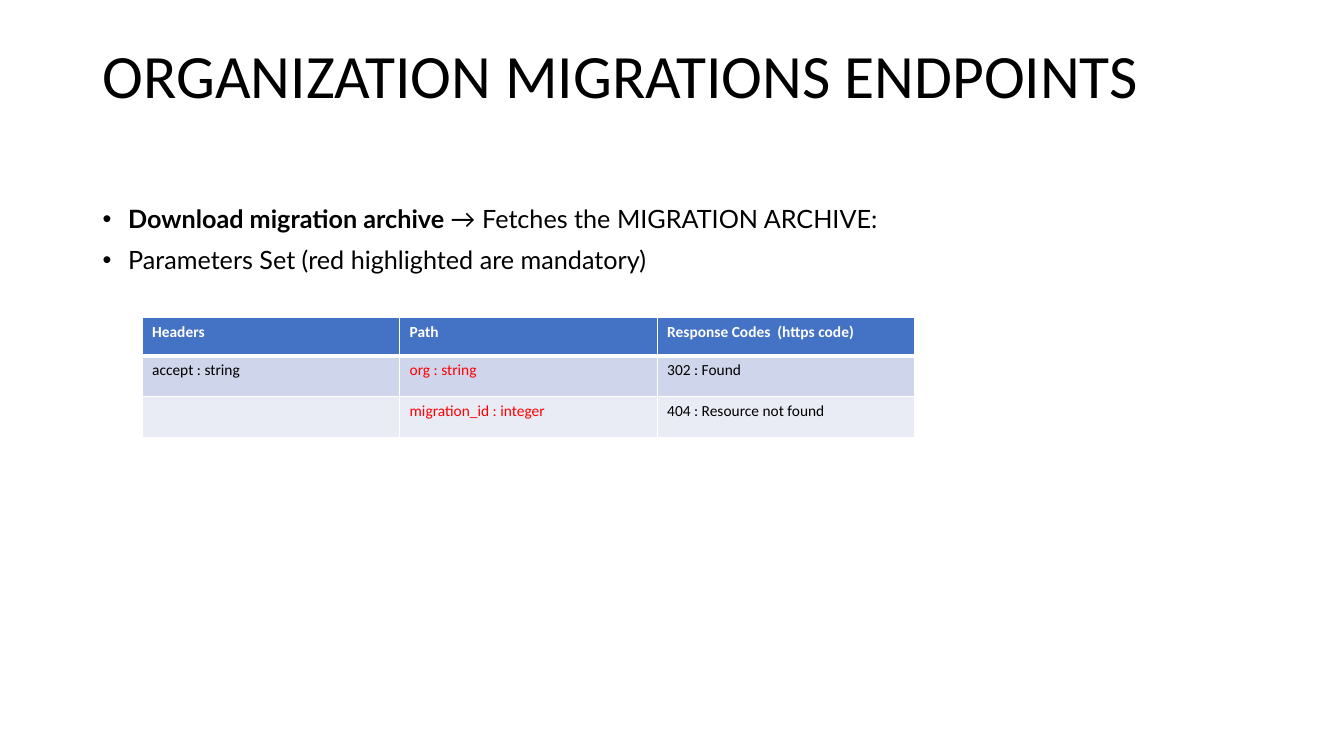
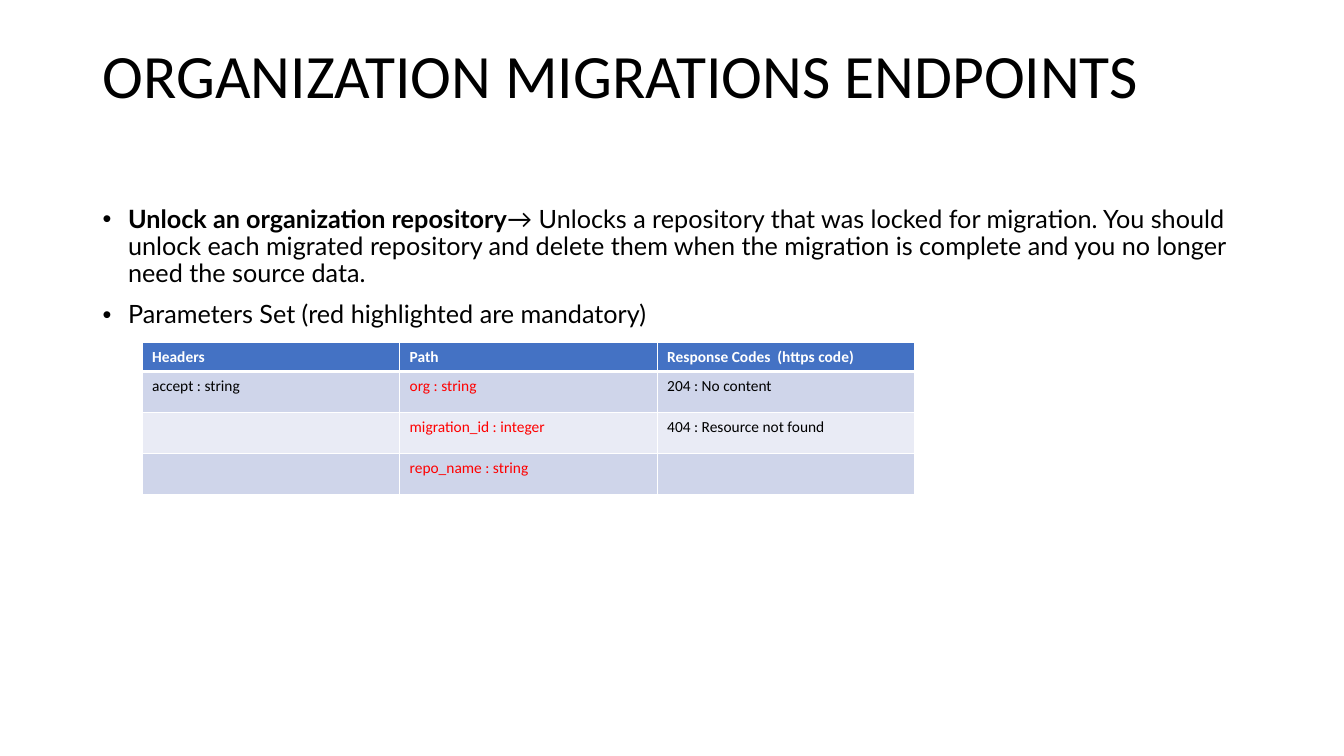
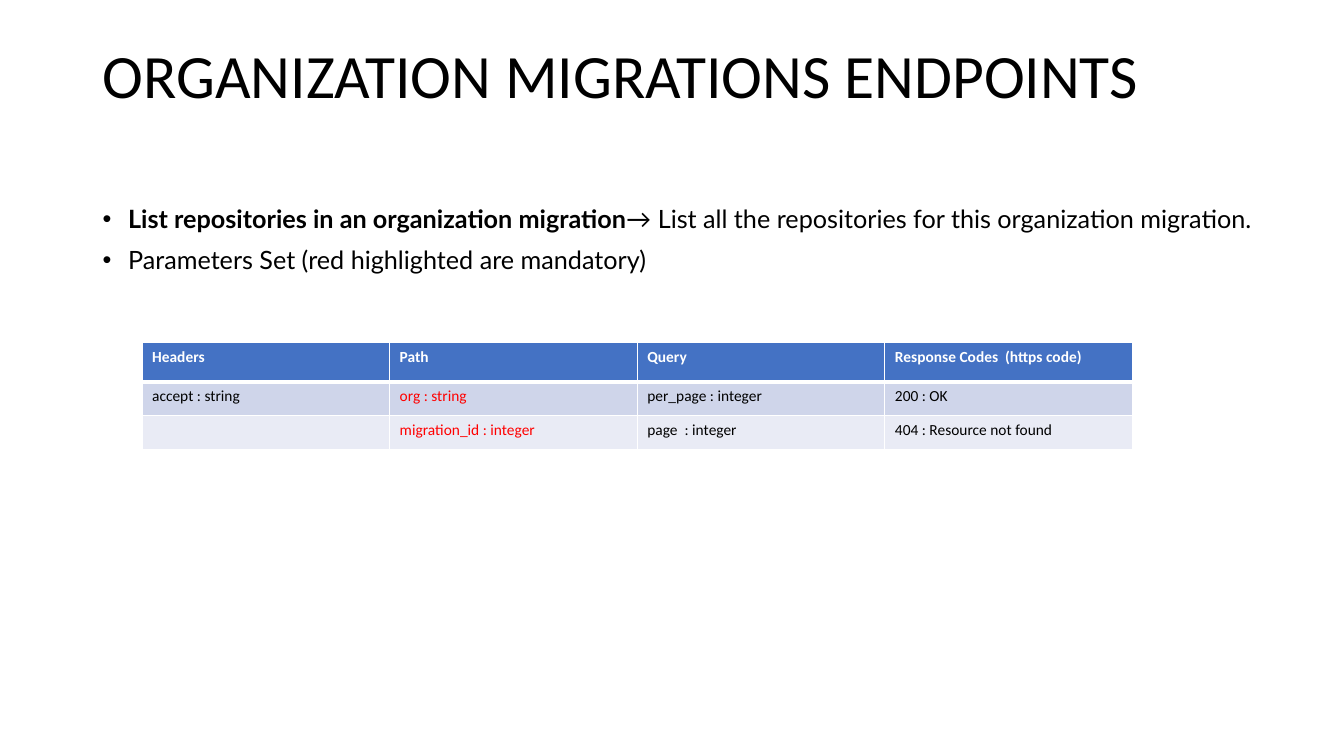
"""Build three slides that describe organization migration endpoints."""

from dataclasses import dataclass

from lxml.etree import SubElement
from pptx import Presentation
from pptx.dml.color import RGBColor
from pptx.enum.text import MSO_VERTICAL_ANCHOR as Anchor
from pptx.oxml.ns import qn
from pptx.presentation import Presentation as Deck
from pptx.slide import Slide
from pptx.table import _Cell as Cell
from pptx.text.text import TextFrame, _Paragraph as Paragraph, _Run as Run
from pptx.util import Cm, Pt

WHITE = RGBColor(0xFF, 0xFF, 0xFF)
BLACK = RGBColor(0x00, 0x00, 0x00)
RED = RGBColor(0xFF, 0x00, 0x00)
HEADER_BLUE = RGBColor(0x44, 0x72, 0xC4)
BANDS = (RGBColor(0xCF, 0xD5, 0xEA), RGBColor(0xE9, 0xEB, 0xF5))

TITLE_FONT = TABLE_FONT = "Calibri"
BODY_FONT = "Lato"
TABLE_SIZE = Pt(11)
THIN, THICK = Pt(1), Pt(3)
LEFT = Cm(2.34)
TABLE_LEFT = Cm(3.58)
BULLET_INDENT = Cm(0.64)

TITLE = "ORGANIZATION MIGRATIONS ENDPOINTS"
PARAMETERS_NOTE = "Parameters Set (red highlighted are mandatory)"
MANDATORY_COLUMN = "Path"
RESPONSES_COLUMN = "Response Codes  (https code)"


@dataclass(frozen=True)
class Endpoint:
    name: str
    description: str
    table_top: Cm
    column_width: Cm
    header_height: Cm
    row_height: Cm
    columns: dict[str, list[str]]


ENDPOINTS = (
    Endpoint(
        "Download migration archive ",
        "→ Fetches the MIGRATION ARCHIVE:",
        Cm(8), Cm(6.49), Cm(0.97), Cm(1.03),
        {
            "Headers": ["accept : string", ""],
            MANDATORY_COLUMN: ["org : string", "migration_id : integer"],
            RESPONSES_COLUMN: ["302 : Found", "404 : Resource not found"],
        },
    ),
    Endpoint(
        "Unlock an organization repository",
        "→ Unlocks a repository that was locked for migration. You should unlock "
        "each migrated repository and delete them when the migration is complete "
        "and you no longer need the source data.",
        Cm(8.64), Cm(6.49), Cm(0.69), Cm(1.03),
        {
            "Headers": ["accept : string", "", ""],
            MANDATORY_COLUMN: ["org : string", "migration_id : integer", "repo_name : string"],
            RESPONSES_COLUMN: ["204 : No content", "404 : Resource not found", ""],
        },
    ),
    Endpoint(
        "List repositories in an organization migration",
        "→ List all the repositories for this organization migration.",
        Cm(8.64), Cm(6.24), Cm(0.98), Cm(0.86),
        {
            "Headers": ["accept : string", ""],
            MANDATORY_COLUMN: ["org : string", "migration_id : integer"],
            "Query": ["per_page : integer", "page  : integer"],
            RESPONSES_COLUMN: ["200 : OK", "404 : Resource not found"],
        },
    ),
)


def format_run(run: Run, font: str, size: Pt, color: RGBColor, bold: bool = False) -> None:
    """Set the font of one run."""
    run.font.name = font
    run.font.size = size
    run.font.color.rgb = color
    run.font.bold = bold


def add_text_frame(slide: Slide, top: Cm, width: Cm, height: Cm) -> TextFrame:
    """Add a wrapping text box at the left margin."""
    text_frame = slide.shapes.add_textbox(LEFT, top, width, height).text_frame
    text_frame.word_wrap = True
    text_frame.vertical_anchor = Anchor.TOP
    return text_frame


def add_title(slide: Slide) -> None:
    """Add the shared title."""
    text_frame = add_text_frame(slide, Cm(1.02), Cm(29.21), Cm(3.68))
    text_frame.text = TITLE
    paragraph = text_frame.paragraphs[0]
    paragraph.line_spacing = 0.9
    format_run(paragraph.runs[0], TITLE_FONT, Pt(44), BLACK)


def format_bullet(paragraph: Paragraph) -> None:
    """Give a paragraph its spacing, hanging indent and bullet."""
    paragraph.line_spacing = 0.9
    paragraph.space_before = Pt(10)
    properties = paragraph._p.get_or_add_pPr()
    properties.set("marL", str(BULLET_INDENT))
    properties.set("indent", str(-BULLET_INDENT))
    SubElement(properties, qn("a:buFont")).set("typeface", "Arial")
    SubElement(properties, qn("a:buChar")).set("char", "•")


def add_body(slide: Slide, endpoint: Endpoint) -> None:
    """Add the endpoint summary and the parameters note."""
    text_frame = add_text_frame(slide, Cm(5.08), Cm(29.82), Cm(13.82))
    summary = text_frame.paragraphs[0]
    summary.text = endpoint.name
    summary.add_run().text = endpoint.description
    note = text_frame.add_paragraph()
    note.text = PARAMETERS_NOTE
    for paragraph in (summary, note):
        format_bullet(paragraph)
        for run in paragraph.runs:
            format_run(run, BODY_FONT, Pt(18), BLACK, bold=run.text == endpoint.name)


def set_borders(cell: Cell, top: Pt, bottom: Pt) -> None:
    """Draw white borders round a cell."""
    properties = cell._tc.get_or_add_tcPr()
    for side, width in (("L", THIN), ("R", THIN), ("T", top), ("B", bottom)):
        line = SubElement(properties, qn(f"a:ln{side}"), w=str(width))
        fill = SubElement(line, qn("a:solidFill"))
        SubElement(fill, qn("a:srgbClr"), val=str(WHITE))


def fill_cell(cell: Cell, text: str, row: int, color: RGBColor) -> None:
    """Write and style one table cell."""
    is_header = row == 0
    set_borders(cell, THICK if row == 1 else THIN, THICK if is_header else THIN)
    cell.fill.solid()
    cell.fill.fore_color.rgb = HEADER_BLUE if is_header else BANDS[(row - 1) % 2]
    paragraph = cell.text_frame.paragraphs[0]
    if text:
        paragraph.text = text
        format_run(paragraph.runs[0], TABLE_FONT, TABLE_SIZE, color, is_header)
    else:
        SubElement(paragraph._p, qn("a:endParaRPr"), sz=str(int(TABLE_SIZE.pt * 100)))


def add_parameter_table(slide: Slide, endpoint: Endpoint) -> None:
    """Add the table of parameters and response codes."""
    column_count = len(endpoint.columns)
    body_count = len(endpoint.columns[MANDATORY_COLUMN])
    table = slide.shapes.add_table(
        body_count + 1, column_count, TABLE_LEFT, endpoint.table_top,
        endpoint.column_width * column_count,
        endpoint.header_height + endpoint.row_height * body_count,
    ).table
    for index, table_row in enumerate(table.rows):
        table_row.height = endpoint.row_height if index else endpoint.header_height
    for column, (heading, values) in enumerate(endpoint.columns.items()):
        table.columns[column].width = endpoint.column_width
        value_color = RED if heading == MANDATORY_COLUMN else BLACK
        for row, text in enumerate([heading, *values]):
            fill_cell(table.cell(row, column), text, row, value_color if row else WHITE)


def add_endpoint_slide(presentation: Deck, endpoint: Endpoint) -> None:
    """Add the slide of one endpoint."""
    slide = presentation.slides.add_slide(presentation.slide_layouts[6])
    add_title(slide)
    add_body(slide, endpoint)
    add_parameter_table(slide, endpoint)


def main() -> None:
    """Build and save the presentation."""
    presentation = Presentation()
    presentation.slide_width = Cm(33.87)
    presentation.slide_height = Cm(19.05)
    for endpoint in ENDPOINTS:
        add_endpoint_slide(presentation, endpoint)
    presentation.save("out.pptx")


main()
